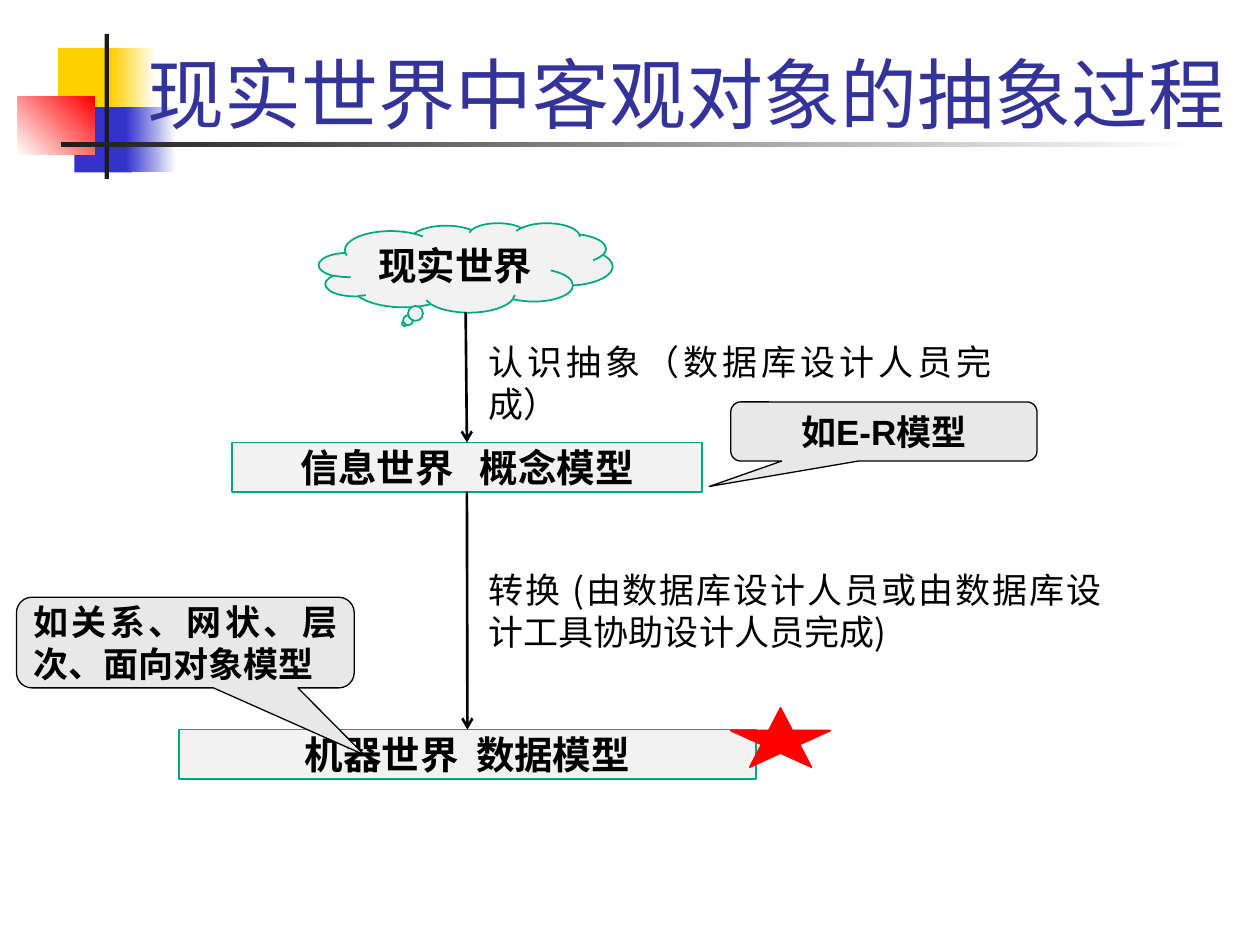
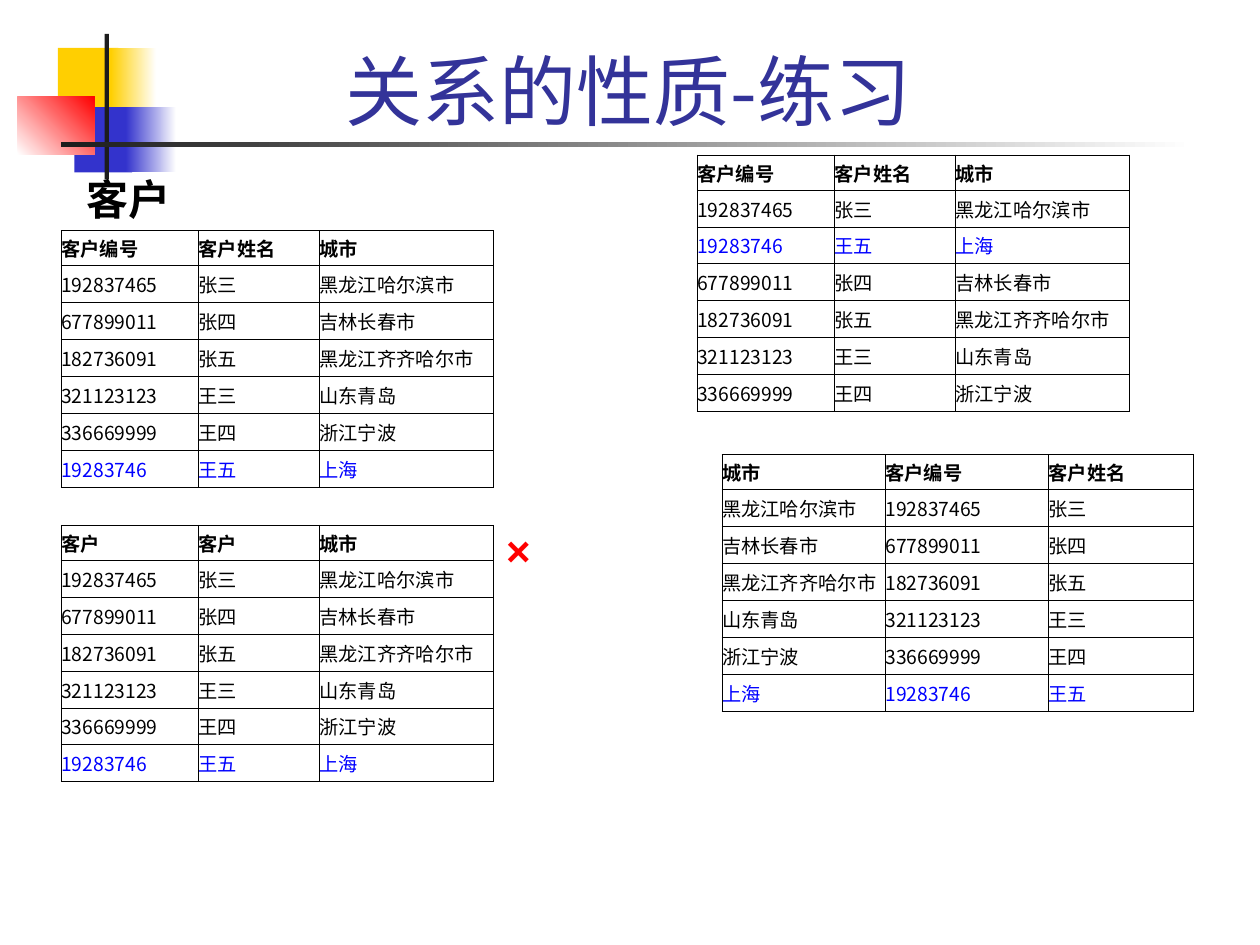
"""Build two database course slides: abstraction of the real world, and properties of relations."""
from dataclasses import dataclass

from lxml.etree import SubElement
from pptx import Presentation
from pptx.dml.color import RGBColor
from pptx.enum.shapes import MSO_CONNECTOR as Connector, MSO_SHAPE as Preset
from pptx.enum.text import MSO_ANCHOR as Anchor, MSO_AUTO_SIZE as AutoSize, PP_ALIGN as Align
from pptx.oxml.ns import qn
from pptx.util import Pt

COLORS = {
    "yellow": "FFCF01", "blue": "3333CC", "red": "FF0000", "ink": "1C1C1C",
    "title": "333399", "black": "000000", "white": "FFFFFF", "pale": "F2F2F2",
    "gray": "E8E8E8", "green": "00A97C", "added": "0000FF",
}
CJK = "Noto Sans CJK SC"
LINE_HEIGHT = 1.2

Box = tuple[float, float, float, float]


@dataclass(frozen=True)
class Band:
    """A master decoration, fading from start to end when end is given."""
    box: Box
    start: str
    end: str | None = None
    angle: float = 0


@dataclass(frozen=True)
class Label:
    """A text with its place, and the preset shape around it, if any."""
    text: str
    box: Box
    size: float = 20
    preset: Preset | None = None
    fill: str = "pale"
    line: str = "green"
    weight: float = 1
    adjust: tuple[float, ...] = ()
    color: str = "black"
    font: str = CJK
    bold: bool = False
    align: Align = Align.JUSTIFY


@dataclass(frozen=True)
class Relation:
    """A relation drawn as a table."""
    left: float
    top: float
    widths: tuple[float, ...]
    header: tuple[str, ...]
    rows: list[tuple[str, ...]]


BANDS = (
    Band((33.1, 27.4, 34.6, 37.4), "yellow"),
    Band((63.4, 27.4, 25.9, 37.4), "yellow", "white"),
    Band((42.5, 61.2, 33.1, 37.4), "blue"),
    Band((72, 61.2, 28.8, 37.4), "blue", "white"),
    Band((10.1, 55.4, 43.9, 33.1), "white", "red", 45),
    Band((59.8, 19.4, 2.5, 82.8), "ink"),
    Band((34.6, 81.3, 648, 2.5), "ink", "white"),
)

REAL_WORLD = Label("现实世界", (182.2, 127.4, 167.8, 51.1), 22, Preset.CLOUD_CALLOUT,
                   bold=True, align=Align.CENTER)
INFORMATION_WORLD = Label("信息世界   概念模型", (132.5, 252.9, 268.6, 28.1), 22,
                          Preset.RECTANGLE, bold=True, align=Align.CENTER)
MACHINE_WORLD = Label("机器世界  数据模型", (102.2, 416.9, 329.8, 28.1), 22,
                      Preset.RECTANGLE, bold=True, align=Align.CENTER)
REMARKS = (
    Label("认识抽象（数据库设计人员完成）", (272.2, 190.8, 301.7, 31.7)),
    Label("如E-R模型", (417.6, 229.7, 175, 33.8), 20, Preset.ROUNDED_RECTANGULAR_CALLOUT,
          "gray", "black", 0.75, (-0.57, 0.93, 0.17), font="Arial", bold=True,
          align=Align.CENTER),
    Label("转换 (由数据库设计人员或由数据库设计工具协助设计人员完成)",
          (272.2, 321.1, 364.3, 55.4)),
    Label("如关系、网状、层次、面向对象模型", (9.4, 341.3, 193, 51.8), 20,
          Preset.ROUNDED_RECTANGULAR_CALLOUT, "gray", "black", 0.75, (0.53, 1.24, 0.17),
          font="Arial", bold=True),
    Label("", (417.6, 404.6, 56.9, 33.8), preset=Preset.STAR_5_POINT, fill="red", line="red"),
)

HEADER = ("客户编号", "客户姓名", "城市")
CUSTOMERS = [
    ("192837465", "张三", "黑龙江哈尔滨市"),
    ("677899011", "张四", "吉林长春市"),
    ("182736091", "张五", "黑龙江齐齐哈尔市"),
    ("321123123", "王三", "山东青岛"),
    ("336669999", "王四", "浙江宁波"),
]
ADDED = ("19283746", "王五", "上海")
APPENDED = CUSTOMERS + [ADDED]
WIDTHS = (78.5, 69, 99.5)


def city_first(row: tuple[str, ...]) -> tuple[str, ...]:
    """Move the last column to the front."""
    return row[-1:] + row[:-1]


RELATIONS = (
    Relation(35, 131.8, WIDTHS, HEADER, APPENDED),
    Relation(398.4, 88.6, WIDTHS, HEADER, CUSTOMERS[:1] + [ADDED] + CUSTOMERS[1:]),
    Relation(412.6, 259.9, (93.3, 93.3, 82.8), city_first(HEADER),
             [city_first(row) for row in APPENDED]),
    Relation(35, 300.2, WIDTHS, ("客户", "客户", "城市"), APPENDED),
)
VERDICTS = (
    Label("×", (282.2, 295.9, 54, 36), 24, color="red", font="Arial", bold=True),
    Label("客户", (42.5, 95.8, 126.7, 36), 24, font="Lato", bold=True),
)


def rgb(name: str) -> RGBColor:
    """Look up a named colour."""
    return RGBColor.from_string(COLORS[name])


def points(values: tuple[float, ...]) -> list[Pt]:
    """Turn numbers into lengths."""
    return [Pt(value) for value in values]


def write(paragraph, text: str, size: float, color: str, font: str = CJK,
          bold: bool = False, align: Align = Align.JUSTIFY) -> None:
    """Add one formatted run to a paragraph."""
    paragraph.alignment = align
    run = paragraph.add_run()
    run.text = text
    run.font.size = Pt(size)
    run.font.bold = bold
    run.font.color.rgb = rgb(color)
    run.font.name = font
    SubElement(run.font._element, qn("a:ea"), typeface=CJK)


def decorate_master(slide, master) -> None:
    """Draw the bands and hand them to the slide master."""
    for number, band in enumerate(BANDS, start=20):
        shape = slide.shapes.add_shape(Preset.RECTANGLE, *points(band.box))
        shape.shadow.inherit = False
        shape.line.fill.background()
        if band.end:
            shape.fill.gradient()
            shape.fill.gradient_angle = band.angle
            for stop, color in zip(shape.fill.gradient_stops, (band.start, band.end)):
                stop.color.rgb = rgb(color)
        else:
            shape.fill.solid()
            shape.fill.fore_color.rgb = rgb(band.start)
        shape.element.nvSpPr.cNvPr.set("id", str(number))
        master.shapes.element.append(shape.element)


def set_title(slide, text: str, box: Box) -> None:
    """Place and fill the title placeholder."""
    title = slide.shapes.title
    title.left, title.top, title.width, title.height = points(box)
    frame = title.text_frame
    frame.auto_size = AutoSize.NONE
    frame.vertical_anchor = Anchor.BOTTOM
    write(frame.paragraphs[0], text, 44, "title", align=Align.CENTER)


def draw_label(slide, label: Label):
    """Draw a label as a text box or a filled shape."""
    if label.preset is None:
        shape = slide.shapes.add_textbox(*points(label.box))
    else:
        shape = slide.shapes.add_shape(label.preset, *points(label.box))
        shape.shadow.inherit = False
        shape.fill.solid()
        shape.fill.fore_color.rgb = rgb(label.fill)
        shape.line.color.rgb = rgb(label.line)
        shape.line.width = Pt(label.weight)
        shape.text_frame.vertical_anchor = Anchor.MIDDLE
        for index, value in enumerate(label.adjust):
            shape.adjustments[index] = value
    if label.text:
        shape.text_frame.word_wrap = True
        paragraph = shape.text_frame.paragraphs[0]
        paragraph.line_spacing = Pt(LINE_HEIGHT * label.size)
        write(paragraph, label.text, label.size, label.color, label.font, label.bold, label.align)
    return shape


def draw_arrow(slide, source, target, joined: bool) -> None:
    """Lead an arrow from the bottom of source to the top of target."""
    arrow = slide.shapes.add_connector(
        Connector.STRAIGHT, source.left + source.width // 2, source.top + source.height,
        target.left + target.width // 2, target.top)
    if joined:
        arrow.begin_connect(source, 2)
    arrow.end_connect(target, 0)
    arrow.line.color.rgb = rgb("black")
    arrow.line.width = Pt(1.5)
    SubElement(arrow.line._get_or_add_ln(), qn("a:tailEnd"), type="arrow")
    SubElement(arrow.element.spPr, qn("a:effectLst"))


def draw_borders(cell) -> None:
    """Give a cell thin black borders."""
    properties = cell._tc.get_or_add_tcPr()
    for side in ("lnL", "lnR", "lnT", "lnB"):
        line = SubElement(properties, qn(f"a:{side}"), w=str(Pt(0.5)))
        fill = SubElement(line, qn("a:solidFill"))
        SubElement(fill, qn("a:srgbClr"), val=COLORS["black"])


def draw_relation(slide, relation: Relation) -> None:
    """Draw a relation, with the added customer in its own colour."""
    lines = [relation.header, *relation.rows]
    heights = [20] + [21.1] * len(relation.rows)
    table = slide.shapes.add_table(
        len(lines), len(relation.widths), Pt(relation.left), Pt(relation.top),
        Pt(sum(relation.widths)), Pt(sum(heights))).table
    table.first_row = table.horz_banding = False
    for column, width in zip(table.columns, relation.widths):
        column.width = Pt(width)
    for row, height, values in zip(table.rows, heights, lines):
        row.height = Pt(height)
        color = "added" if set(values) == set(ADDED) else "black"
        for cell, value in zip(row.cells, values):
            cell.margin_left = cell.margin_right = cell.margin_top = cell.margin_bottom = 0
            cell.vertical_anchor = Anchor.MIDDLE
            draw_borders(cell)
            cell.fill.solid()
            cell.fill.fore_color.rgb = rgb("white")
            write(cell.text_frame.paragraphs[0], value, 11, color,
                  bold=values is relation.header)


def build_abstraction(slide) -> None:
    """Show the path from the real world to the machine world."""
    set_title(slide, "现实世界中客观对象的抽象过程", (72, 20.9, 640.8, 61.9))
    real, information, machine = [
        draw_label(slide, world) for world in (REAL_WORLD, INFORMATION_WORLD, MACHINE_WORLD)]
    draw_arrow(slide, real, information, joined=False)
    draw_arrow(slide, information, machine, joined=True)
    for remark in REMARKS:
        draw_label(slide, remark)


def build_exercise(slide) -> None:
    """Show the customer relation and its variants."""
    set_title(slide, "关系的性质-练习", (52.6, 9.4, 613.4, 72))
    for relation in RELATIONS:
        draw_relation(slide, relation)
    for verdict in VERDICTS:
        draw_label(slide, verdict)


def main() -> None:
    """Build and save the deck."""
    deck = Presentation()
    deck.slide_width, deck.slide_height = Pt(720), Pt(540)
    title_only = deck.slide_layouts[5]
    abstraction, exercise = [deck.slides.add_slide(title_only) for _ in range(2)]
    decorate_master(abstraction, deck.slide_master)
    build_abstraction(abstraction)
    build_exercise(exercise)
    deck.save("out.pptx")


if __name__ == "__main__":
    main()
